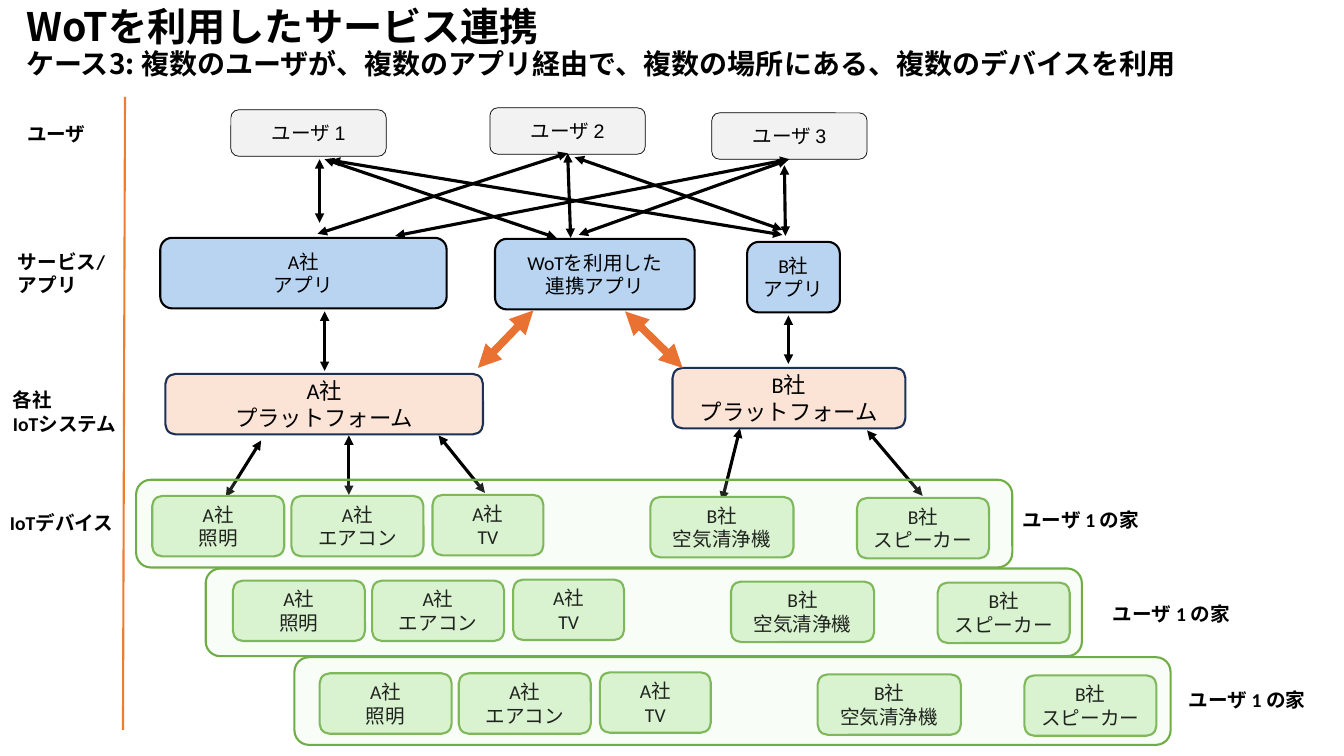
from pptx import Presentation
from pptx.dml.color import RGBColor as RGB
from pptx.enum.shapes import MSO_CONNECTOR as Conn, MSO_SHAPE as Shape
from pptx.enum.text import MSO_ANCHOR as Anchor, PP_ALIGN as Align
from pptx.oxml.ns import qn
from pptx.util import Inches, Pt
from lxml.etree import SubElement as Sub

# Grid cells are a tenth of an inch; boxes are (left, top, width, height) in cells
CELL = Inches(0.1)
WIDE, HIGH = 133.3, 75
COLORS = {
    "ink": "000000", "user": "F2F2F2", "app": "B8D4F0", "system": "FBE3D6",
    "navy": "1D3155", "device": "D9F2D0", "green": "70AD47",
    "rail": "ED7D31", "link": "E97132",
}


def color(name):
    return RGB.from_string(COLORS[name])


def cells(*nums):
    return [round(n * CELL) for n in nums]


def write(frame, text, size, font="Calibri", bold=False, align=Align.LEFT):
    frame.word_wrap = True
    frame.text = text
    for para in frame.paragraphs:
        para.alignment = align
        para.font.size = Pt(size)
        para.font.name = font
        para.font.bold = bold
        para.font.color.rgb = color("ink")


def card(slide, box, fill, line, width=1.5, text="", size=14, font="Calibri"):
    shape = slide.shapes.add_shape(Shape.ROUNDED_RECTANGLE, *cells(*box))
    shape.shadow.inherit = False
    shape.fill.solid()
    shape.fill.fore_color.rgb = color(fill)
    shape.line.color.rgb = color(line)
    shape.line.width = Pt(width)
    if text:
        shape.text_frame.vertical_anchor = Anchor.MIDDLE
        write(shape.text_frame, text, size, font, align=Align.CENTER)
    return shape


def label(slide, box, text):
    note = slide.shapes.add_textbox(*cells(*box))
    write(note.text_frame, text, 14, bold=True)


def rule(slide, ends, tint, width, arrow=True):
    line = slide.shapes.add_connector(Conn.STRAIGHT, *cells(*ends))
    line.line.color.rgb = color(tint)
    line.line.width = Pt(width)
    if arrow:
        pen = line.line._get_or_add_ln()
        for end in ("a:headEnd", "a:tailEnd"):
            Sub(pen, qn(end), type="triangle")
    Sub(line._element.spPr, qn("a:effectLst"))


def links(slide, box, ends, tint="ink", width=2.25):
    left, top = box[:2]
    for x1, y1, x2, y2 in ends:
        rule(slide, (left + x1, top + y1, left + x2, top + y2), tint, width)


def head(slide, box):
    title = slide.shapes.title
    title.left, title.top, title.width, title.height = cells(*box)
    frame = title.text_frame
    frame.vertical_anchor = Anchor.TOP
    write(frame, "WoTを利用したサービス連携\n"
          "ケース3: 複数のユーザが、複数のアプリ経由で、複数の場所にある、複数のデバイスを利用",
          28, "Noto Sans CJK JP", True)
    frame.paragraphs[1].font.size = Pt(20)
    for para in frame.paragraphs:
        para.line_spacing = 0.9
        para.space_before = Pt(0)


def rail(slide, box):
    left, top, wide, high = box
    rule(slide, (left + wide, top, left + wide - 0.2, top + high), "rail", 1.5, False)
    for x, y, w, h, text in (
        (1.7, 2, 13.9, 3.3, "ユーザ"),
        (0.8, 14.7, 13.9, 5.7, "サービス/\vアプリ"),
        (0.3, 28.4, 12.3, 5.7, "各社\nIoTシステム"),
        (0, 40.6, 13.1, 3.3, "IoTデバイス"),
    ):
        label(slide, (left + x, top + y, w, h), text)


def users(slide, box):
    left, top, _, high = box
    for num, (x, y) in enumerate(((22.9, 0.2), (48.6, 0), (70.6, 0.5)), 1):
        card(slide, (left + x, top + y, 15.4, high), "user", "ink", 0.5,
             f"ユーザ {num}", font="Arial")


def apps(slide, box):
    left, top, _, high = box
    for x, y, w, text in (
        (15.9, 0, 28.4, "A社\vアプリ"),
        (49.1, 0.1, 19.8, "WoTを利用した\v連携アプリ"),
        (74.1, 0.4, 9.2, "B社\vアプリ"),
    ):
        card(slide, (left + x, top + y, w, high), "app", "ink", text=text)


def systems(slide, box):
    left, top, _, high = box
    for x, y, w, firm in ((16.4, 0.6, 31.5, "A"), (66.7, 0, 23.1, "B")):
        card(slide, (left + x, top + y, w, high), "system", "navy",
             text=f"{firm}社\nプラットフォーム", size=16)


def home(slide, box, inset, tag):
    left, top, wide, high = box
    # Devices
    for x, y, w, text in (
        (0, 0, 13.1, "A社\n照明"),
        (13.8, 0, 13.1, "A社\nエアコン"),
        (27.8, -0.1, 11, "A社\nTV"),
        (49.4, 0.1, 14.2, "B社\n空気清浄機"),
        (69.9, 0.2, 13.1, "B社\vスピーカー"),
    ):
        card(slide, (left + inset[0] + x, top + inset[1] + y, w, 6),
             "device", "green", text=text)
    # Translucent frame over the devices
    frame = card(slide, box, "device", "green")
    tint = frame._element.spPr.find(qn("a:solidFill"))[0]
    Sub(tint, qn("a:alpha"), val="15000")
    label(slide, (left + tag[0], top + tag[1], 13.9, 3.3), "ユーザ 1 の家")


def main():
    deck = Presentation()
    deck.slide_width, deck.slide_height = cells(WIDE, HIGH)
    slide = deck.slides.add_slide(deck.slide_layouts[5])

    head(slide, (1.6, 0.3, 129.3, 9.1))
    rail(slide, (0, 9.6, 12.4, 62.8))
    apps(slide, (0, 23.6, WIDE, 7))
    systems(slide, (0, 36.5, WIDE, 6))
    users(slide, (0, 10.7, WIDE, 4.6))

    # Users to apps
    links(slide, (0, 15, WIDE, 9), (
        (31.7, 7.1, 31.7, 0.8), (56.6, 8.6, 56.3, 0.2), (77.9, 8.4, 77.8, 1.4),
        (57.4, 8.3, 78.1, 0.9), (39.2, 8.4, 78.3, 0.8), (77.6, 7.8, 57, 0.6),
        (31.5, 8.2, 56.3, 0.2), (55.2, 8.6, 32.2, 0.8), (77.6, 8.3, 32.8, 0.9),
    ))
    # Apps to platforms
    gap = (0, 30, WIDE, 7)
    links(slide, gap, ((32.2, 6.8, 32.2, 0.9), (78.2, 1.3, 78.2, 6.1)))
    links(slide, gap, ((52.9, 0.8, 47.4, 6.5), (62, 0.9, 67.7, 6.5)), "link", 5.5)
    # Platforms to devices
    links(slide, (0, 42, WIDE, 8), (
        (25.9, 1.7, 22.4, 7.3), (34.6, 7.1, 34.6, 1.2), (48.1, 6.9, 43.5, 1.2),
        (73.4, 0.5, 71.6, 7.7), (86, 0.7, 91.5, 7.2),
    ))

    # Homes step down to the right
    for row, (x, inset, tag) in enumerate((
        (13.5, (1.6, 1.6), (86.9, 2.3)),
        (20.4, (2.7, 1.2), (89, 2.8)),
        (29.2, (2.5, 1.6), (87.7, 2.6)),
    )):
        home(slide, (x, 47.6 + 8.8 * row, 86.9, 8.7), inset, tag)

    deck.save("out.pptx")


if __name__ == "__main__":
    main()
